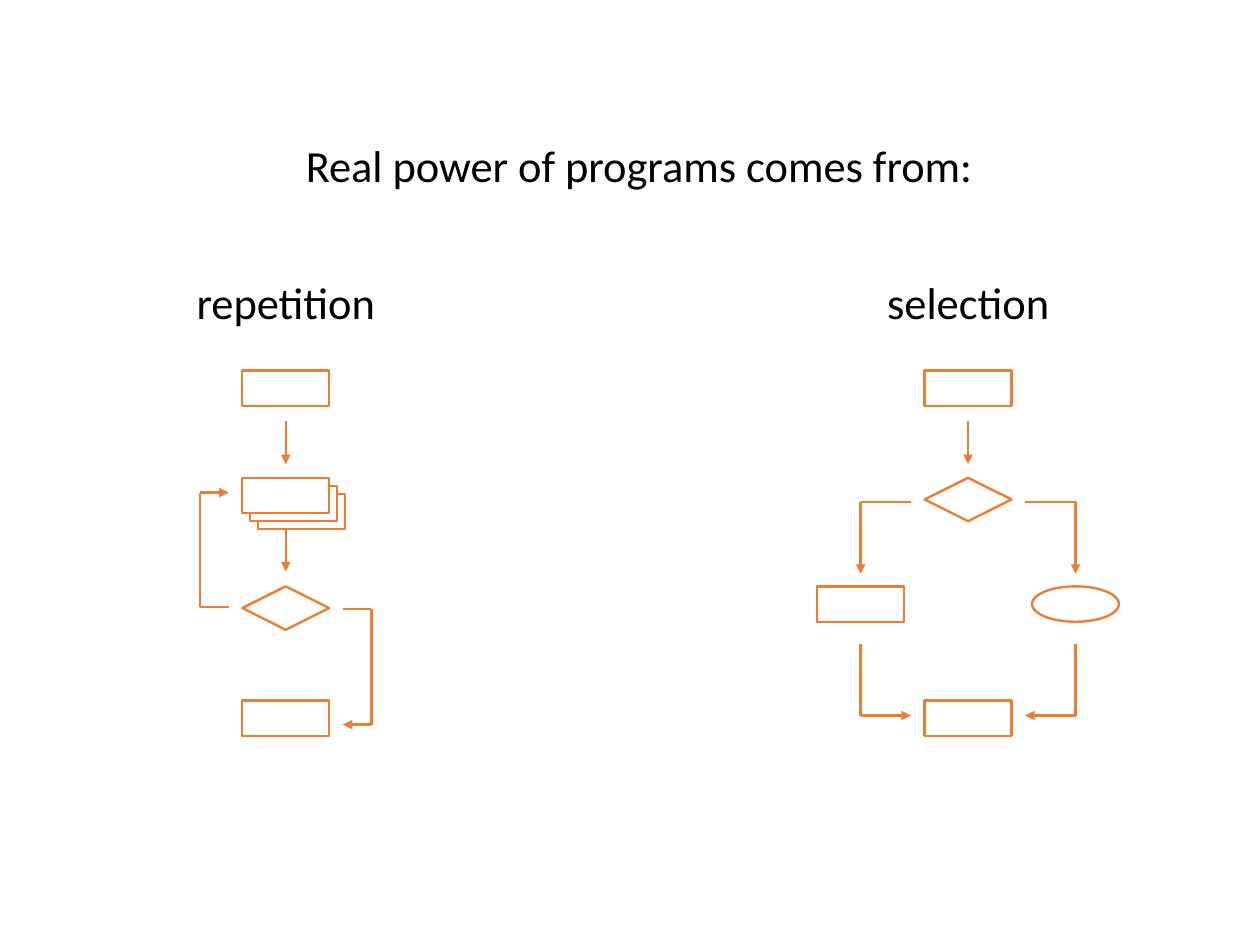
import pptx
import pptx.util
import pptx.oxml
import pptx.oxml.ns
import pptx.dml.color
import pptx.enum.shapes
import pptx.enum.text

Inches, Pt = pptx.util.Inches, pptx.util.Pt
RGB = pptx.dml.color.RGBColor.from_string
SHAPE = pptx.enum.shapes.MSO_SHAPE
COLORS = {"text": "000000", "line": "ED7D31", "fill": "FFFFFF"}
NODE_W, NODE_H, DIAMOND_H = 0.76, 0.31, 0.38
ARROW_TOP, ARROW_BOTTOM = 0.44, 0.82


def set_all(obj, values):
    for name, value in values.items():
        setattr(obj, name, value)


def place(sp, left, top, width, height):
    set_all(sp, {"left": Inches(left), "top": Inches(top),
                 "width": Inches(width), "height": Inches(height)})


def set_text(sp, text):
    tf = sp.text_frame
    set_all(tf, {"word_wrap": True, "text": text,
                 "auto_size": pptx.enum.text.MSO_AUTO_SIZE.NONE,
                 "vertical_anchor": pptx.enum.text.MSO_ANCHOR.TOP,
                 "margin_left": Inches(0.1), "margin_right": Inches(0.1),
                 "margin_top": Inches(0.05), "margin_bottom": Inches(0.05)})
    p = tf.paragraphs[0]
    set_all(p, {"alignment": pptx.enum.text.PP_ALIGN.CENTER, "line_spacing": 1.5})
    r = p.runs[0]
    set_all(r.font, {"name": "Calibri", "size": Pt(28), "bold": False})
    r.font.color.rgb = RGB(COLORS["text"])


def add_label(s, text, center, top, width):
    sp = s.shapes.add_textbox(0, 0, 0, 0)
    place(sp, center - width / 2, top, width, 0.8)
    set_text(sp, text)


def style_line(sp):
    sp.line.color.rgb = RGB(COLORS["line"])
    sp.line.width = Pt(1.5)


def add_node(s, kind, center, top):
    sp = s.shapes.add_shape(kind, 0, 0, 0, 0)
    height = DIAMOND_H if kind == SHAPE.DIAMOND else NODE_H
    place(sp, center - NODE_W / 2, top, NODE_W, height)
    sp.shadow.inherit = False
    sp.fill.solid()
    sp.fill.fore_color.rgb = RGB(COLORS["fill"])
    style_line(sp)


def add_xml(parent, tag, **attributes):
    parent.append(parent.makeelement(pptx.oxml.ns.qn(tag), attributes))


def add_route(s, points):
    for start, end in zip(points, points[1:]):
        c = s.shapes.add_connector(pptx.enum.shapes.MSO_CONNECTOR.STRAIGHT,
                                   *map(Inches, start + end))
        style_line(c)
        props = c._element.spPr
        if end == points[-1]:
            add_xml(props.find(pptx.oxml.ns.qn("a:ln")), "a:tailEnd", type="triangle")
        add_xml(props, "a:effectLst")


def add_title(s, left, top, width, height):
    sp = s.shapes.title
    place(sp, left, top, width, height)
    set_text(sp, "Real power of programs comes from:")


def add_repetition(s, left, top, width, height):
    center = left + width / 2
    right = left + width
    add_label(s, "repetition", center, top - 1.12, 2.76)
    add_node(s, SHAPE.RECTANGLE, center, top)
    add_route(s, [(center, top + ARROW_TOP), (center, top + ARROW_BOTTOM)])
    add_route(s, [(center, top + 1.38), (center, top + 1.76)])
    for layer in (2, 1, 0):
        offset = layer * 0.07
        add_node(s, SHAPE.RECTANGLE, center + offset, top + 0.94 + offset)
    add_node(s, SHAPE.DIAMOND, center, top + 1.89)
    add_node(s, SHAPE.RECTANGLE, center, top + height - NODE_H)
    add_route(s, [(left + 0.25, top + 2.07), (left, top + 2.07),
                  (left, top + 1.07), (left + 0.25, top + 1.07)])
    add_route(s, [(right - 0.25, top + 2.09), (right, top + 2.09),
                  (right, top + 3.1), (right - 0.25, top + 3.1)])


def add_selection(s, left, top, width, height):
    center = left + width / 2
    add_label(s, "selection", center, top - 1.12, 2.61)
    add_node(s, SHAPE.RECTANGLE, center, top)
    add_route(s, [(center, top + ARROW_TOP), (center, top + ARROW_BOTTOM)])
    add_node(s, SHAPE.DIAMOND, center, top + 0.94)
    add_node(s, SHAPE.RECTANGLE, center, top + height - NODE_H)
    for side, kind in ((-1, SHAPE.RECTANGLE), (1, SHAPE.OVAL)):
        branch = center + side * (width - NODE_W) / 2
        inner = center + side * 0.5
        add_node(s, kind, branch, top + 1.89)
        add_route(s, [(inner, top + 1.15), (branch, top + 1.15), (branch, top + 1.78)])
        add_route(s, [(branch, top + 2.39), (branch, top + 3.02), (inner, top + 3.02)])


def main():
    prs = pptx.Presentation()
    prs.slide_width = pptx.util.Cm(28)
    prs.slide_height = pptx.util.Cm(21)
    s = prs.slides.add_slide(prs.slide_layouts[5])
    add_title(s, 1.01, 0.92, 9.16, 0.8)
    add_repetition(s, 1.75, 3.24, 1.5, 3.2)
    add_selection(s, 7.15, 3.24, 2.64, 3.2)
    prs.save("out.pptx")


if __name__ == "__main__":
    main()
